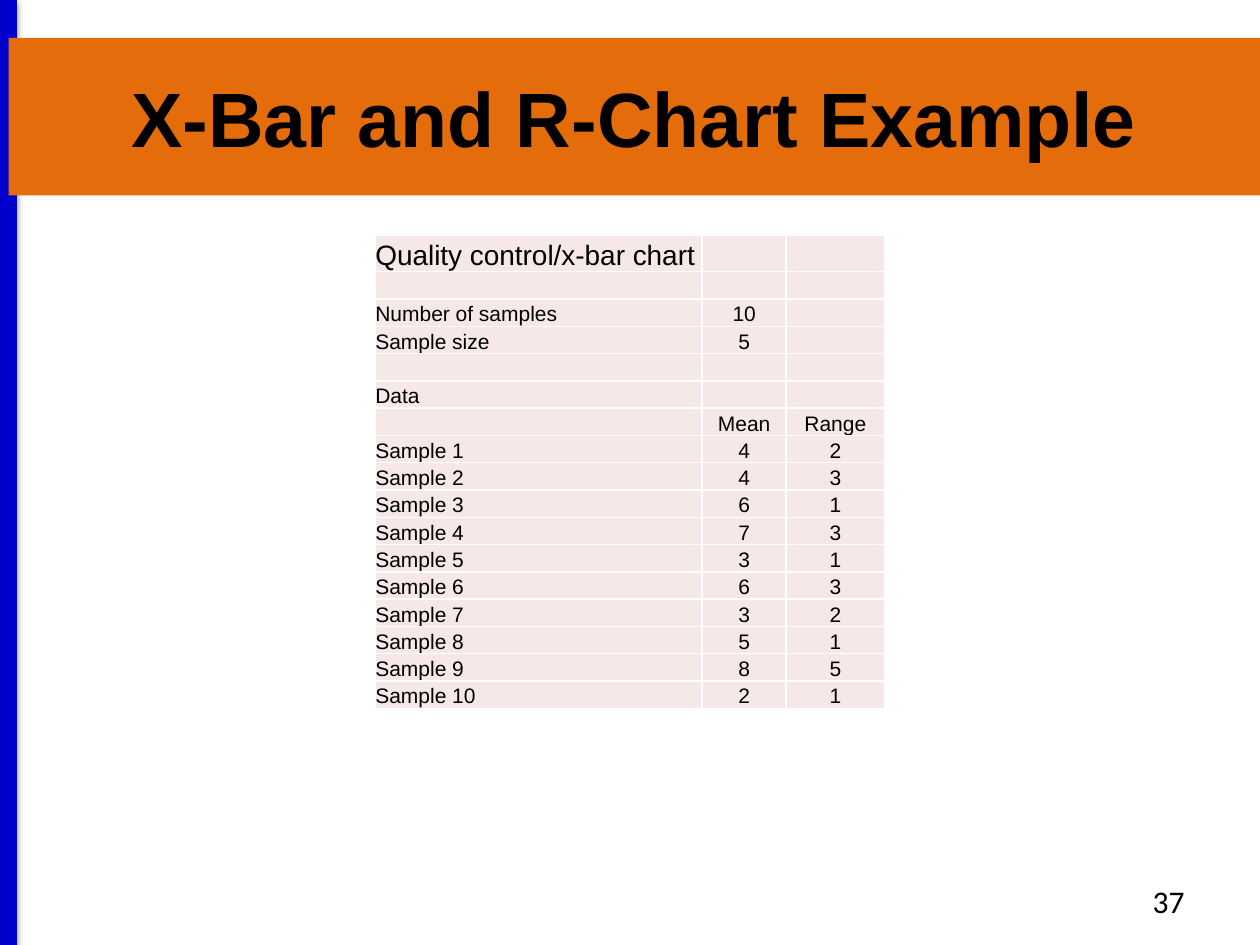
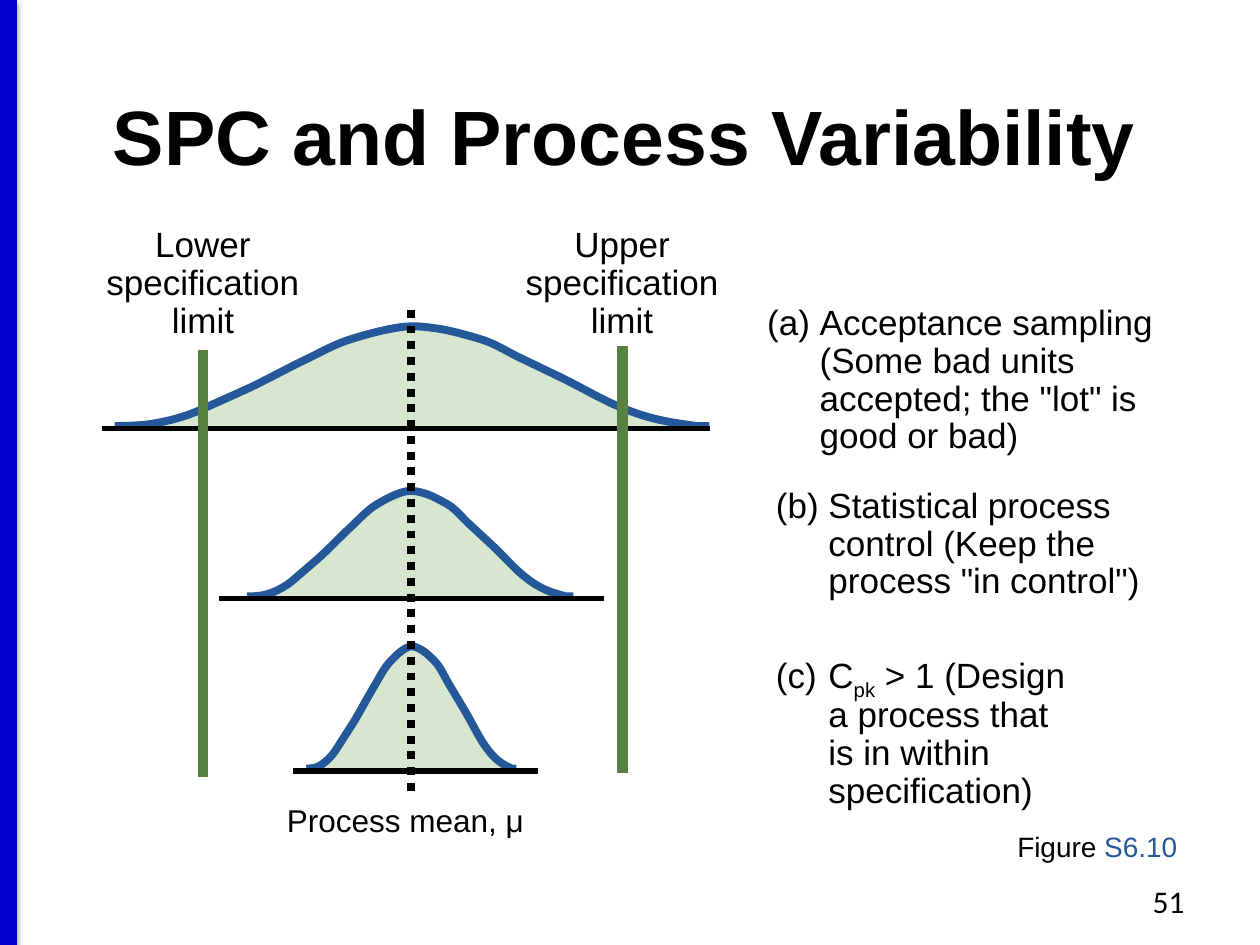
from lxml import etree
from pptx import Presentation
from pptx.dml.color import RGBColor
from pptx.enum import dml, shapes, text
from pptx.oxml import ns
from pptx.util import Pt

hue = RGBColor.from_string
BLACK, WHITE, BLUE, NAVY = "000000", "FFFFFF", "255898", "0000CC"
ORANGE, PINK, MINT, GREEN = "E46C0A", "F7E8E8", "D7E6CE", "598141"
LEFT, MID, RIGHT = text.PP_ALIGN.LEFT, text.PP_ALIGN.CENTER, text.PP_ALIGN.RIGHT


def write(page, area, parts, size, align=LEFT, face="Arial", bold=False):
    box = page.shapes.add_textbox(*map(Pt, area))
    box.text_frame.word_wrap = True
    para = box.text_frame.paragraphs[0]
    para.alignment = align
    for part in parts:
        run = para.add_run()
        run.text = part
        run.font.size = Pt(size)
        run.font.name = face
        run.font.bold = bold
        run.font.color.rgb = hue(BLACK)
    return box, para


def rule(page, ends, color, width):
    line = page.shapes.add_connector(shapes.MSO_CONNECTOR.STRAIGHT, *map(Pt, ends))
    line.line.color.rgb = hue(color)
    line.line.width = Pt(width)
    glow = etree.SubElement(line._element.spPr, ns.qn("a:effectLst"))
    return line, glow


deck = Presentation()
deck.slide_width, deck.slide_height = Pt(720), Pt(540)

heads = [
    ("X-Bar and R-Chart Example", (5, 21.6, 715, 90), "37"),
    ("SPC and Process Variability", (37, 41, 640, 72), "51"),
]
pages = []
for head, area, number in heads:
    page = deck.slides.add_slide(deck.slide_layouts[6])
    _, glow = rule(page, (5, 0, 5, 540), NAVY, 10)
    shade = etree.SubElement(glow, ns.qn("a:outerShdw"), blurRad=str(Pt(3.1)),
                             dist=str(Pt(1.6)), dir="5400000", rotWithShape="0")
    tone = etree.SubElement(shade, ns.qn("a:srgbClr"), val=BLACK)
    etree.SubElement(tone, ns.qn("a:alpha"), val="38000")
    title, _ = write(page, area, [head], 44, MID, bold=True)
    title.text_frame.vertical_anchor = text.MSO_ANCHOR.MIDDLE
    write(page, (516, 500.4, 168, 29), [number], 18, RIGHT, "Calibri")
    pages.append((page, title))

page, title = pages[0]
title.fill.solid()
title.fill.fore_color.rgb = hue(ORANGE)

means = [4, 4, 6, 7, 3, 6, 3, 5, 8, 2]
spans = [2, 3, 1, 3, 1, 3, 2, 1, 5, 1]
rows = [
    ("Quality control/x-bar chart", "", ""),
    ("", "", ""),
    ("Number of samples", 10, ""),
    ("Sample size", 5, ""),
    ("", "", ""),
    ("Data", "", ""),
    ("", "Mean", "Range"),
]
for i, (mean, span) in enumerate(zip(means, spans), 1):
    rows.append((f"Sample {i}", mean, span))

grid = page.shapes.add_table(len(rows), 3, Pt(214.5), Pt(134.5), Pt(291), Pt(270.6)).table
grid.first_row = grid.horz_banding = False
for col, width in zip(grid.columns, (186.8, 48, 56.2)):
    col.width = Pt(width)
for r, row in enumerate(rows):
    grid.rows[r].height = Pt(15.61 if r else 20.8)
    size = 12 if r else 16
    for c, value in enumerate(row):
        cell = grid.cell(r, c)
        cell.margin_left = cell.margin_right = cell.margin_top = cell.margin_bottom = 0
        cell.vertical_anchor = text.MSO_ANCHOR.BOTTOM
        cell.fill.solid()
        cell.fill.fore_color.rgb = hue(PINK)
        props = cell._tc.get_or_add_tcPr()
        for k, side in enumerate(("lnL", "lnR", "lnT", "lnB")):
            edge = etree.Element(ns.qn(f"a:{side}"), w=str(Pt(1)))
            paint = etree.SubElement(edge, ns.qn("a:solidFill"))
            etree.SubElement(paint, ns.qn("a:srgbClr"), val=WHITE)
            props.insert(k, edge)
        para = cell.text_frame.paragraphs[0]
        para.alignment = MID if c else LEFT
        if value == "":
            etree.SubElement(para._p, ns.qn("a:endParaRPr"), sz=str(size * 100))
            continue
        para.text = str(value)
        font = para.runs[0].font
        font.size, font.name = Pt(size), "Arial"
        font.color.rgb = hue(BLACK)

page, _ = pages[1]
bell = [
    (100, 100),
    (99.6, 100), (99.4, 100), (97.9, 100),
    (96.6, 99), (93.9, 97), (91.7, 94),
    (89.4, 91), (87.3, 87), (84.3, 79.5),
    (81.6, 72.5), (77.8, 59.5), (74.8, 51),
    (72, 43), (69.9, 37), (67.6, 30.5),
    (65.3, 23.5), (63.6, 17), (61.2, 13),
    (58.9, 9), (55.9, 4), (53.6, 2.5),
    (51.3, 0.5), (49.6, 0), (47.2, 2.5),
    (44.7, 5), (41.5, 10), (38.8, 15.5),
    (36.2, 21), (34.1, 28.5), (31.4, 36),
    (28.8, 43.5), (25.2, 55), (22.7, 62),
    (20.1, 69), (18.4, 73.5), (16.5, 78.5),
    (14.6, 83.5), (13.1, 88), (11, 91.5),
    (9.1, 95), (6.6, 98), (4.7, 99),
    (2.8, 100), (0.8, 100), (0, 100),
]
stages = [
    ((65.5, 186, 339.8, 57.4), (58.5, 405.5), (431.3, 170.9, 240, 95.8),
     ['(a)\tAcceptance sampling (Some bad units accepted; the "lot" is good or bad)']),
    ((141.1, 280, 186.5, 60.8), (125.3, 345.4), (436.3, 275.3, 231, 73.4),
     ['(b)\tStatistical process control (Keep the process "in control")']),
    ((175, 368.8, 120, 70.4), (167.3, 307.4), (436.3, 370.3, 185, 95.8),
     ["(c)\tC", "pk", " > 1 (Design a process that is in within specification)"]),
]
for (left, top, wide, high), (start, end), area, parts in stages:
    spots = [(Pt(left + x * wide / 100), Pt(top + y * high / 100)) for x, y in bell]
    pen = page.shapes.build_freeform(*spots[0], scale=1.0)
    pen.add_line_segments(spots[1:], close=False)
    curve = pen.convert_to_shape()
    lines = list(curve._element.iter(ns.qn("a:lnTo")))
    for first, second, third in zip(*[iter(lines)] * 3):
        first.tag = ns.qn("a:cubicBezTo")
        for line in (second, third):
            first.append(line[0])
            line.getparent().remove(line)
    curve.shadow.inherit = False
    curve.fill.solid()
    curve.fill.fore_color.rgb = hue(MINT)
    curve.line.color.rgb = hue(BLUE)
    curve.line.width = Pt(4.5)
    base = top + high + 1.4
    rule(page, (end, base, start, base), BLACK, 3)
    _, para = write(page, area, parts, 20)
    para.line_spacing = 0.9
    props = para._p.get_or_add_pPr()
    props.set("marL", str(Pt(30)))
    props.set("indent", str(Pt(-30)))
    for run in para.runs[1:2]:
        run.font._element.set("baseline", "-25000")

for name, left, x, foot in (("Lower", 45.5, 116, 444.2), ("Upper", 285, 355.8, 441.8)):
    _, para = write(page, (left, 126.4, 141, 73.4), [f"{name} specification limit"], 20, MID)
    para.line_spacing = 0.9
    rule(page, (x, foot, x, foot - 244), GREEN, 6)

mean, _ = rule(page, (234.9, 177, 234.9, 454.3), BLACK, 4.5)
mean.line.dash_style = dml.MSO_LINE.ROUND_DOT
write(page, (156.8, 454.3, 157, 29), ["Process mean, μ"], 18)
_, para = write(page, (574.2, 470.4, 110, 26.6), ["Figure ", "S6.10"], 16)
para.runs[1].font.color.rgb = hue(BLUE)

deck.save("out.pptx")
